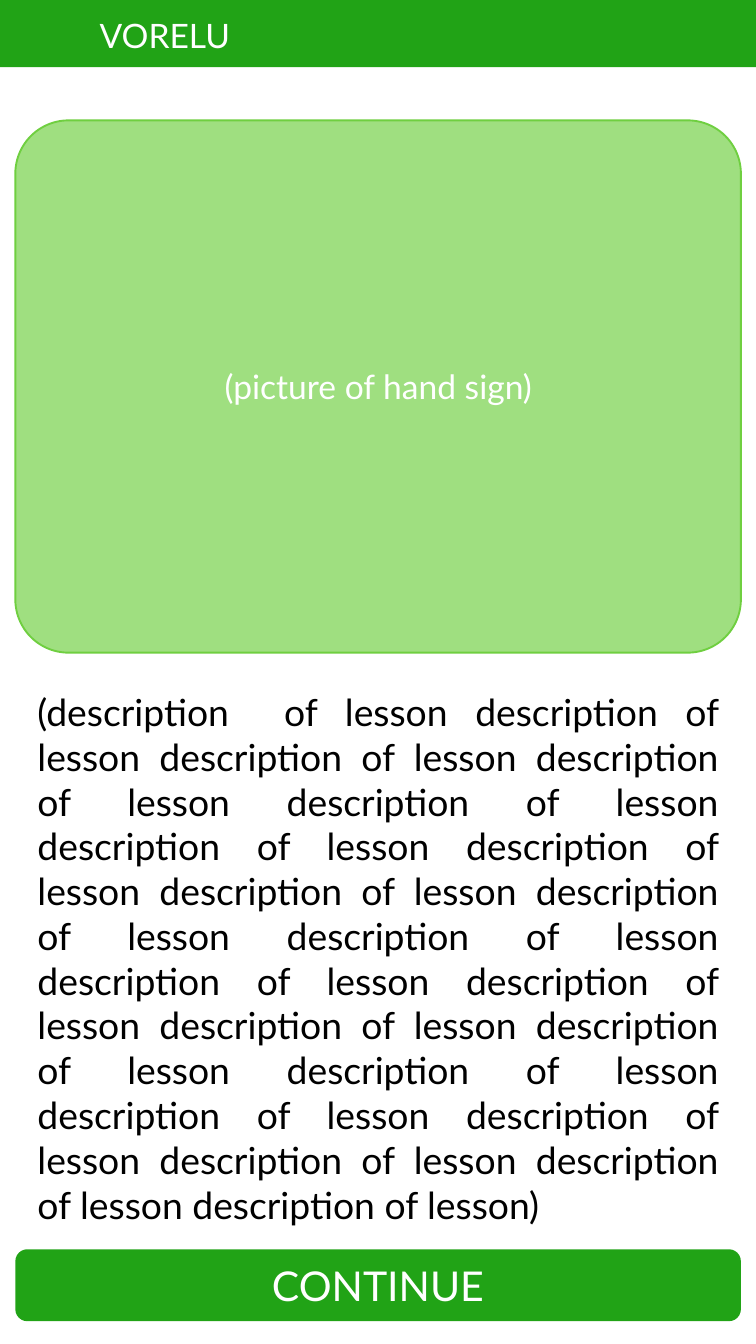
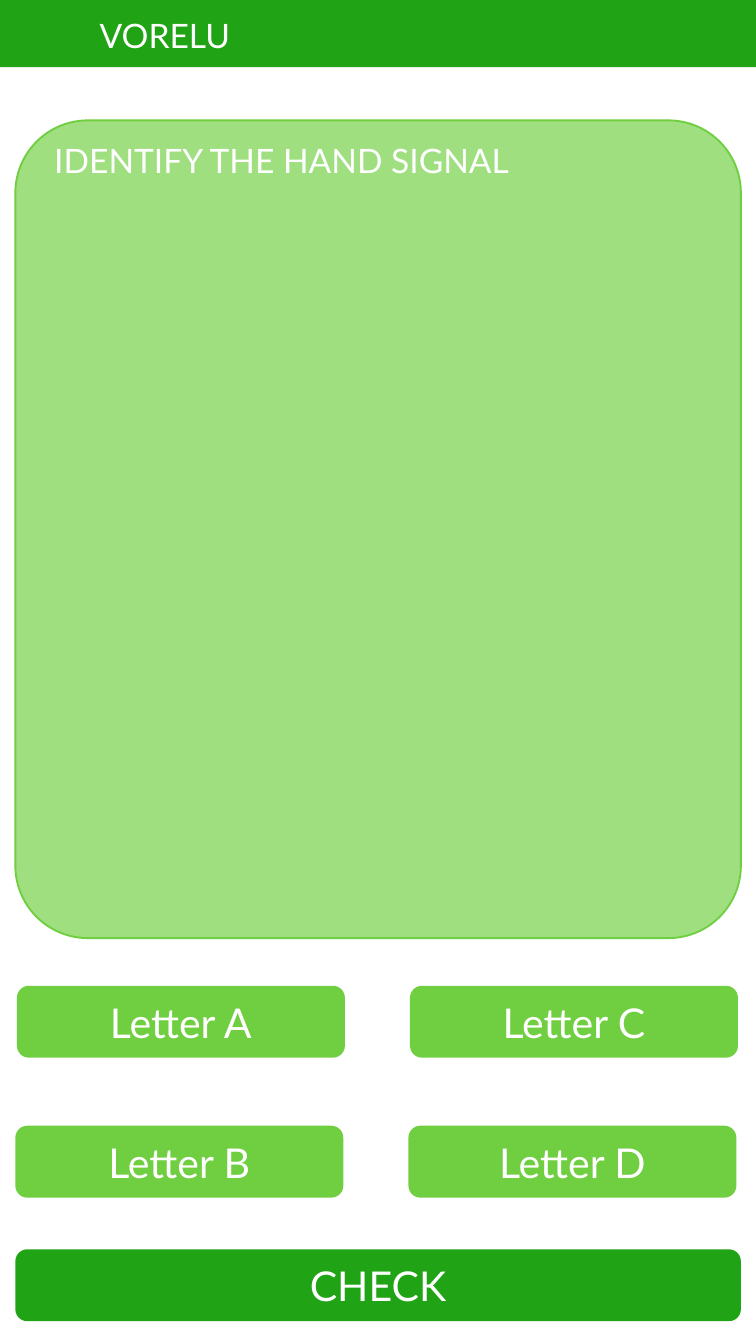
from pptx import Presentation
from pptx.dml.color import RGBColor
from pptx.enum import shapes, text
from pptx.util import Cm, Pt

FONT = "Lato"
WHITE = RGBColor(0xFF, 0xFF, 0xFF)
BLACK = RGBColor(0x00, 0x00, 0x00)
DARK_GREEN = RGBColor(0x21, 0xA3, 0x16)
MID_GREEN = RGBColor(0x6F, 0xCF, 0x40)
PALE_GREEN = RGBColor(0x9F, 0xDF, 0x80)

APP_NAME = "VORELU"
MARGIN = 0.58
CONTENT_WIDTH = 27.43
CARD_TOP = 4.55
CARD_CORNER = 0.1
BUTTON_HEIGHT = 2.72
ACTION_TOP = 47.22
LABEL_WIDTH, LABEL_HEIGHT = 18.85, 1.8

OPTION_COLUMNS = (("Letter A", "Letter B"), ("Letter C", "Letter D"))
OPTION_WIDTH = 12.4
OPTION_COLUMN_STEP = 14.86
OPTION_ROWS = ((0.64, 37.26), (0.58, 42.55))  # left and top of each row

DESCRIPTION = "(description  of lesson" + " description of lesson" * 19 + ")"


def write(shape, words, size, align, color=WHITE,
          anchor=text.MSO_ANCHOR.MIDDLE):
    frame = shape.text_frame
    frame.word_wrap = True
    frame.vertical_anchor = anchor
    frame.text = words
    para = frame.paragraphs[0]
    para.alignment = align
    para.font.name = FONT
    para.font.size = Pt(size)
    para.font.color.rgb = color


def add_box(page, left, top, width, height, fill=None, line=None, corner=None,
            kind=shapes.MSO_SHAPE.ROUNDED_RECTANGLE):
    box = page.shapes.add_shape(kind, Cm(left), Cm(top), Cm(width), Cm(height))
    box.shadow.inherit = False
    if fill is None:
        box.fill.background()
    else:
        box.fill.solid()
        box.fill.fore_color.rgb = fill
    if line is None:
        box.line.fill.background()
    else:
        box.line.color.rgb = line
        box.line.width = Pt(2)
    if corner is not None:
        box.adjustments[0] = corner
    return box


def add_card(page, height):
    add_box(page, MARGIN, CARD_TOP, CONTENT_WIDTH, height,
            PALE_GREEN, MID_GREEN, CARD_CORNER)


def add_button(page, words, left, top, width, fill):
    button = add_box(page, left, top, width, BUTTON_HEIGHT, fill)
    write(button, words, 44, text.PP_ALIGN.CENTER)


def write_label(label, words, align):
    """Fill a one-line label that grows with its text."""
    write(label, words, 36, align, anchor=text.MSO_ANCHOR.TOP)
    label.text_frame.auto_size = text.MSO_AUTO_SIZE.SHAPE_TO_FIT_TEXT


def add_caption(page, words, left, top, align):
    caption = page.shapes.add_textbox(
        Cm(left), Cm(top), Cm(LABEL_WIDTH), Cm(LABEL_HEIGHT))
    write_label(caption, words, align)


def add_page(deck, action):
    """Add a page with the app header and the action button at the foot."""
    page = deck.slides.add_slide(deck.slide_layouts[5])
    add_box(page, -0.1, 0, 28.68, 2.54, DARK_GREEN,
            kind=shapes.MSO_SHAPE.RECTANGLE)
    title = page.shapes.title
    title.left, title.top = Cm(3.51), Cm(0.43)
    title.width, title.height = Cm(LABEL_WIDTH), Cm(LABEL_HEIGHT)
    write_label(title, APP_NAME, text.PP_ALIGN.LEFT)
    page.shapes.element.append(title.element)  # bring in front of the band
    add_button(page, action, MARGIN, ACTION_TOP, CONTENT_WIDTH, DARK_GREEN)
    return page


def add_lesson(deck):
    page = add_page(deck, "CONTINUE")
    add_card(page, 20.12)
    add_caption(page, "(picture of hand sign)", 4.88, 13.72,
                text.PP_ALIGN.CENTER)
    description = add_box(page, MARGIN, 26.16, CONTENT_WIDTH, 20.09,
                          corner=CARD_CORNER)
    write(description, DESCRIPTION, 40, text.PP_ALIGN.JUSTIFY, BLACK)


def add_quiz(deck):
    page = add_page(deck, "CHECK")
    add_card(page, 30.91)
    add_caption(page, "IDENTIFY THE HAND SIGNAL", 1.8, 5.18,
                text.PP_ALIGN.LEFT)
    for column, options in enumerate(OPTION_COLUMNS):
        for option, (left, top) in zip(options, OPTION_ROWS):
            add_button(page, option, left + column * OPTION_COLUMN_STEP, top,
                       OPTION_WIDTH, MID_GREEN)


def main():
    deck = Presentation()
    deck.slide_width, deck.slide_height = Cm(28.58), Cm(50.8)
    add_lesson(deck)
    add_quiz(deck)
    deck.save("out.pptx")


if __name__ == "__main__":
    main()
